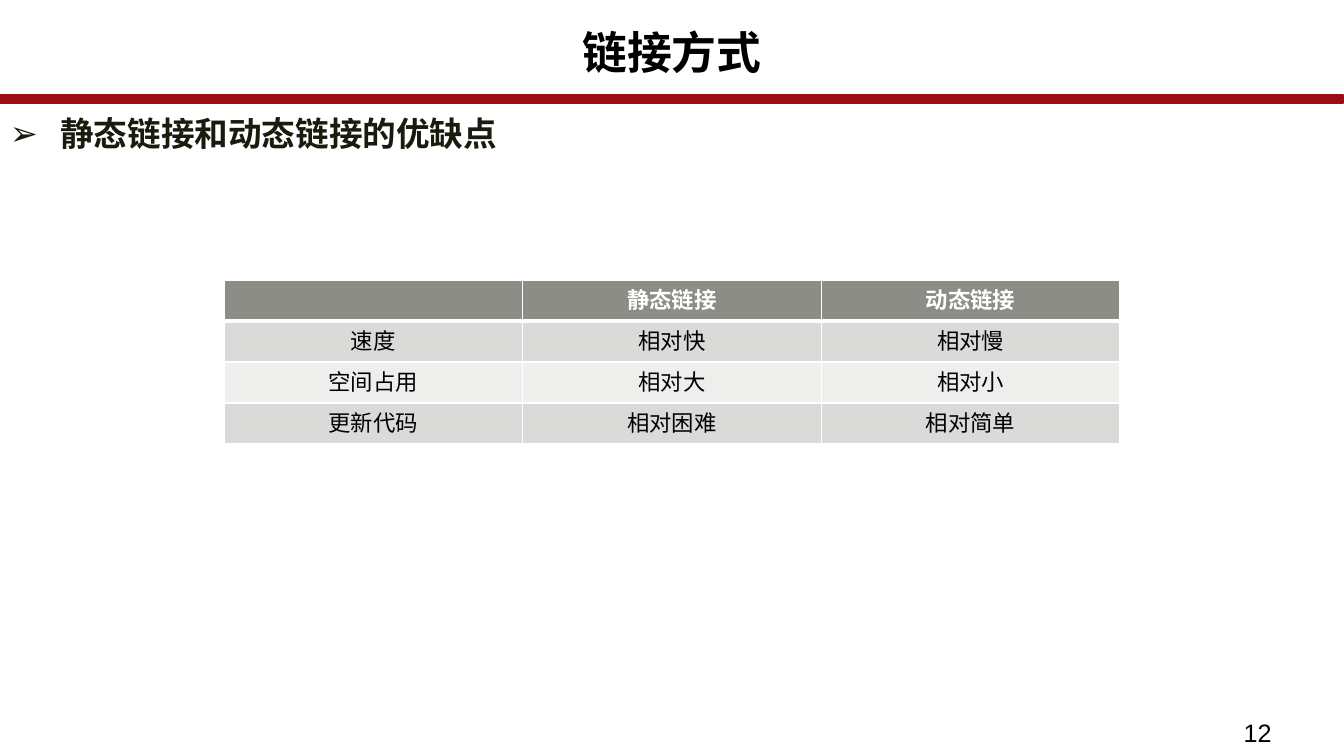
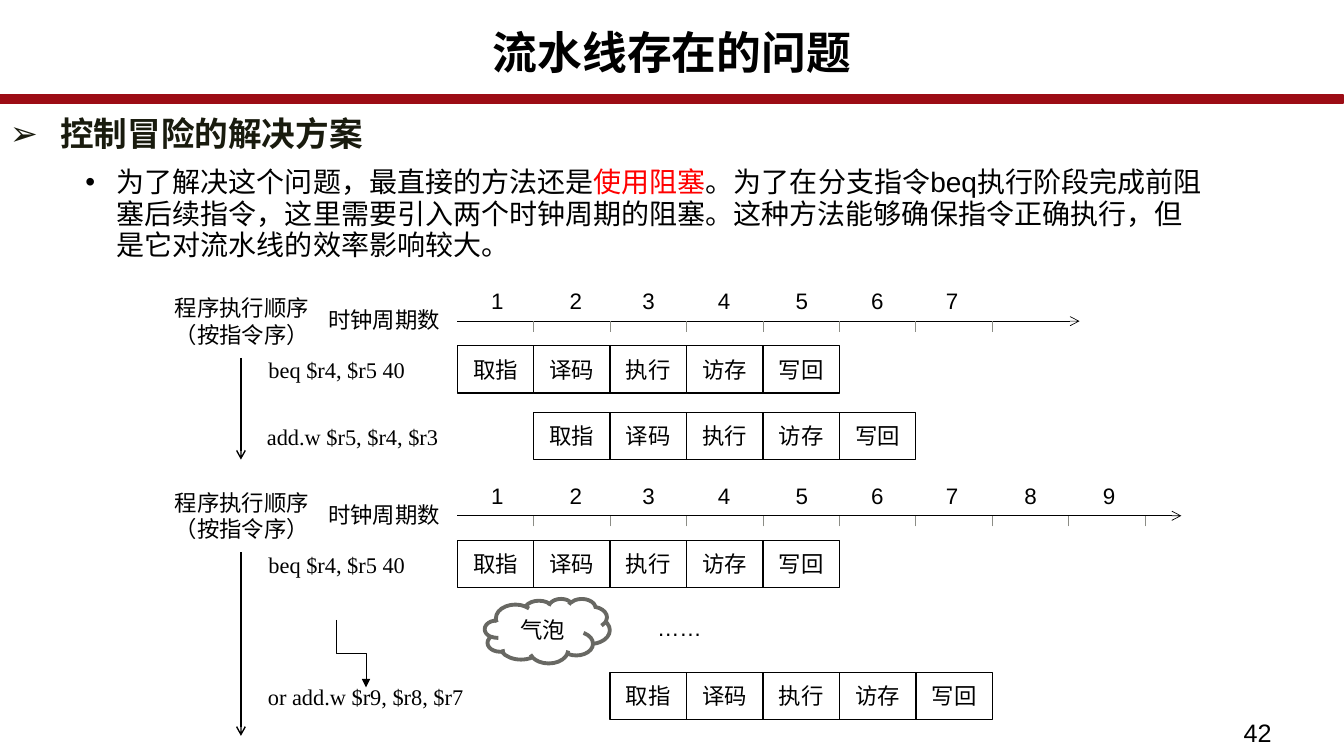
"""Build two lecture slides: a linking comparison table and pipeline timing diagrams."""
import pptx
import pptx.dml.color
import pptx.enum.shapes
import pptx.enum.text
import pptx.oxml.ns
import pptx.util
from lxml import etree

Pt = pptx.util.Pt
RGBColor = pptx.dml.color.RGBColor
MSO_SHAPE = pptx.enum.shapes.MSO_SHAPE
MSO_CONNECTOR = pptx.enum.shapes.MSO_CONNECTOR
PP_ALIGN = pptx.enum.text.PP_ALIGN
MSO_ANCHOR = pptx.enum.text.MSO_ANCHOR
qn = pptx.oxml.ns.qn

BLACK = RGBColor(0x00, 0x00, 0x00)
WHITE = RGBColor(0xFF, 0xFF, 0xFF)
BAND_RED = RGBColor(0x9C, 0x0C, 0x15)
ACCENT_RED = RGBColor(0xFF, 0x00, 0x00)
HEADING = RGBColor(0x19, 0x1B, 0x0E)
GRAY = RGBColor(0x8C, 0x8D, 0x86)
CLOUD_GRAY = RGBColor(0x68, 0x68, 0x63)
ROW_FILLS = (RGBColor(0xDA, 0xDB, 0xD9), RGBColor(0xEE, 0xEE, 0xED))

SLIDE_WIDTH, SLIDE_HEIGHT = 960, 540
FONT = "Arial"
CODE_FONT = "Times New Roman"
STAGES = ("取指", "译码", "执行", "访存", "写回")
STAGE_WIDTH, STAGE_HEIGHT = 54.6, 33.8
AXIS_LEFT = 326.6
CYCLE_LEFTS = (323.3, 379.4, 431.3, 485.3, 540.7, 594.7, 648, 704.2, 760.3)
CYCLE_WIDTH = 64


def set_font(paragraph, size, color=BLACK, bold=False, name=FONT):
    """Set the font shared by all runs of a paragraph."""
    font = paragraph.font
    font.size = Pt(size)
    font.bold = bold
    font.name = name
    font.color.rgb = color
    properties = paragraph._p.get_or_add_pPr().find(qn("a:defRPr"))
    etree.SubElement(properties, qn("a:ea")).set("typeface", FONT)


def add_text(slide, box, text, size=16, color=BLACK, bold=False, name=FONT,
             align=PP_ALIGN.LEFT, anchor=MSO_ANCHOR.TOP):
    """Add a one-paragraph text box and return its paragraph."""
    frame = slide.shapes.add_textbox(*map(Pt, box)).text_frame
    frame.word_wrap = True
    frame.vertical_anchor = anchor
    paragraph = frame.paragraphs[0]
    paragraph.text = text
    paragraph.alignment = align
    set_font(paragraph, size, color, bold, name)
    return paragraph


def add_label(slide, box, text):
    """Add a centred diagram label."""
    add_text(slide, box, text, align=PP_ALIGN.CENTER, anchor=MSO_ANCHOR.MIDDLE)


def set_bullet(paragraph, character, left, hanging):
    """Give a paragraph a hanging bullet and body spacing."""
    properties = paragraph._p.get_or_add_pPr()
    properties.set("marL", str(Pt(left)))
    properties.set("indent", str(-Pt(hanging)))
    bullet = etree.Element(qn("a:buChar"))
    bullet.set("char", character)
    bullet_font = etree.Element(qn("a:buFont"))
    bullet_font.set("typeface", FONT)
    default_font = properties.find(qn("a:defRPr"))
    default_font.addprevious(bullet_font)
    default_font.addprevious(bullet)
    paragraph.line_spacing = 0.94
    paragraph.space_after = Pt(2)


def add_shape(slide, kind, box, line_color, line_width, fill=None, text=""):
    """Add an outlined preset shape with optional centred text."""
    shape = slide.shapes.add_shape(kind, *map(Pt, box))
    shape.shadow.inherit = False
    if fill is None:
        shape.fill.background()
    else:
        shape.fill.solid()
        shape.fill.fore_color.rgb = fill
    shape.line.color.rgb = line_color
    shape.line.width = Pt(line_width)
    if text:
        shape.text_frame.vertical_anchor = MSO_ANCHOR.MIDDLE
        paragraph = shape.text_frame.paragraphs[0]
        paragraph.text = text
        paragraph.alignment = PP_ALIGN.CENTER
        set_font(paragraph, 16)


def add_line(slide, start, end, color=BLACK, width=0.5, head=None,
             kind=MSO_CONNECTOR.STRAIGHT):
    """Add a connector, with an arrowhead at its end if one is named."""
    connector = slide.shapes.add_connector(kind, *map(Pt, start + end))
    connector.line.color.rgb = color
    connector.line.width = Pt(width)
    if head:
        tail = etree.SubElement(connector.line._get_or_add_ln(), qn("a:tailEnd"))
        tail.set("type", head)
    etree.SubElement(connector._element.spPr, qn("a:effectLst"))
    return connector


def add_base_slide(presentation, title, heading, number, body_width):
    """Add a slide with the shared band, title, heading and page number."""
    slide = presentation.slides.add_slide(presentation.slide_layouts[6])
    add_shape(slide, MSO_SHAPE.ROUNDED_RECTANGLE, (-0.5, 68.6, SLIDE_WIDTH, 4.3),
              BAND_RED, 2.75, BAND_RED)
    paragraph = add_text(slide, (0, 18.7, SLIDE_WIDTH, 54), title, 32, bold=True,
                         align=PP_ALIGN.CENTER)
    paragraph.line_spacing = 0.89
    paragraph = add_text(slide, (0, 79.2, body_width, 423.4), heading, 24, HEADING, True)
    set_bullet(paragraph, "➢", 36, 36)
    add_text(slide, (881.3, 509, 78.5, 31.5), number, 18)
    return slide


def set_borders(cell, bottom_width):
    """Draw white borders around a table cell."""
    properties = cell._tc.get_or_add_tcPr()
    widths = {"a:lnL": 1, "a:lnR": 1, "a:lnT": 1, "a:lnB": bottom_width}
    for index, (tag, width) in enumerate(widths.items()):
        line = etree.Element(qn(tag))
        line.set("w", str(Pt(width)))
        fill = etree.SubElement(line, qn("a:solidFill"))
        etree.SubElement(fill, qn("a:srgbClr")).set("val", str(WHITE))
        properties.insert(index, line)


def add_comparison_table(slide, rows):
    """Add a table with a grey header and banded rows."""
    columns = len(rows[0])
    frame = slide.shapes.add_table(len(rows), columns, Pt(160), Pt(200.2),
                                   Pt(640), Pt(29.2 * len(rows)))
    table = frame.table
    for row_index, row in enumerate(rows):
        header = row_index == 0
        for column_index, text in enumerate(row):
            cell = table.cell(row_index, column_index)
            cell.fill.solid()
            cell.fill.fore_color.rgb = GRAY if header else ROW_FILLS[(row_index - 1) % 2]
            set_borders(cell, 3 if header else 1)
            cell.vertical_anchor = MSO_ANCHOR.MIDDLE
            paragraph = cell.text_frame.paragraphs[0]
            paragraph.text = text
            paragraph.alignment = PP_ALIGN.CENTER
            set_font(paragraph, 16, WHITE if header else BLACK, header)


def add_stage_row(slide, left, top):
    """Add the five pipeline stages of one instruction."""
    for index, stage in enumerate(STAGES):
        box = (left + index * STAGE_WIDTH, top, STAGE_WIDTH, STAGE_HEIGHT)
        add_shape(slide, MSO_SHAPE.RECTANGLE, box, BLACK, 1, text=stage)


def add_instruction(slide, left, top, code, stage_left):
    """Add an instruction with its row of stages."""
    add_text(slide, (left, top + 4.2, 158, 26.6), code, name=CODE_FONT)
    add_stage_row(slide, stage_left, top)


def add_timeline(slide, top, cycles, axis_right, order_length):
    """Add the clock axis, its labels and the first instruction."""
    axis = top + 31.4
    add_line(slide, (AXIS_LEFT, axis), (axis_right, axis), head="arrow")
    add_line(slide, (172.1, top + 57.6), (172.1, top + 57.6 + order_length),
             width=1, head="arrow")
    add_label(slide, (191.5, top + 13.7, 165.6, STAGE_HEIGHT), "时钟周期数")
    add_label(slide, (116.3, top + 14.4, 113, STAGE_HEIGHT), "程序执行顺序（按指令序）")
    for index in range(cycles):
        add_label(slide, (CYCLE_LEFTS[index], top, CYCLE_WIDTH, STAGE_HEIGHT),
                  str(index + 1))
        tick = AXIS_LEFT + (index + 1) * STAGE_WIDTH
        add_line(slide, (tick, axis + 7.6), (tick, axis), GRAY)
    add_instruction(slide, 184.7, top + 49, "beq $r4, $r5 40", AXIS_LEFT)


def add_skip_arrow(slide):
    """Add the elbow arrow leading down to the instruction after the bubble."""
    connector = add_line(slide, (226.8, 456.4), (275, 477.4), head="triangle",
                         kind=MSO_CONNECTOR.ELBOW)
    transform = connector._element.spPr.find(qn("a:xfrm"))
    transform.set("rot", "16200000")
    transform.set("flipH", "1")


def build_linking_slide(presentation):
    """Build the slide that compares static and dynamic linking."""
    slide = add_base_slide(presentation, "链接方式", "静态链接和动态链接的优缺点", "12", 459.4)
    add_comparison_table(slide, (
        ("", "静态链接", "动态链接"),
        ("速度", "相对快", "相对慢"),
        ("空间占用", "相对大", "相对小"),
        ("更新代码", "相对困难", "相对简单"),
    ))


def build_pipeline_slide(presentation):
    """Build the slide on stalling as an answer to control hazards."""
    slide = add_base_slide(presentation, "流水线存在的问题", "控制冒险的解决方案", "42", 925.2)
    paragraph = add_text(slide, (12.2, 115.9, 853.2, 105),
                         "为了解决这个问题，最直接的方法还是", 20)
    paragraph.level = 1
    set_bullet(paragraph, "•", 64.1, 22.3)
    emphasis = paragraph.add_run()
    emphasis.text = "使用阻塞"
    emphasis.font.color.rgb = ACCENT_RED
    paragraph.add_run().text = (
        "。为了在分支指令beq执行阶段完成前阻塞后续指令，这里需要引入两个时钟周期的阻塞。"
        "这种方法能够确保指令正确执行，但是它对流水线的效率影响较大。")

    add_timeline(slide, 198, 7, 771.1, 72.7)
    add_instruction(slide, 183.6, 294.5, "add.w $r5, $r4, $r3", AXIS_LEFT + STAGE_WIDTH)

    add_timeline(slide, 337, 9, 843.8, 131)
    add_instruction(slide, 184.3, 480.2, "or add.w $r9, $r8, $r7",
                    AXIS_LEFT + 2 * STAGE_WIDTH)
    add_skip_arrow(slide)
    add_shape(slide, MSO_SHAPE.CLOUD, (346.3, 427.7, 89.3, 46.1), CLOUD_GRAY, 2.75,
              WHITE, "气泡")
    add_label(slide, (402.5, 431.3, 165.6, STAGE_HEIGHT), "……")


def main():
    """Build and save the presentation."""
    presentation = pptx.Presentation()
    presentation.slide_width = Pt(SLIDE_WIDTH)
    presentation.slide_height = Pt(SLIDE_HEIGHT)
    build_linking_slide(presentation)
    build_pipeline_slide(presentation)
    presentation.save("out.pptx")


if __name__ == "__main__":
    main()
